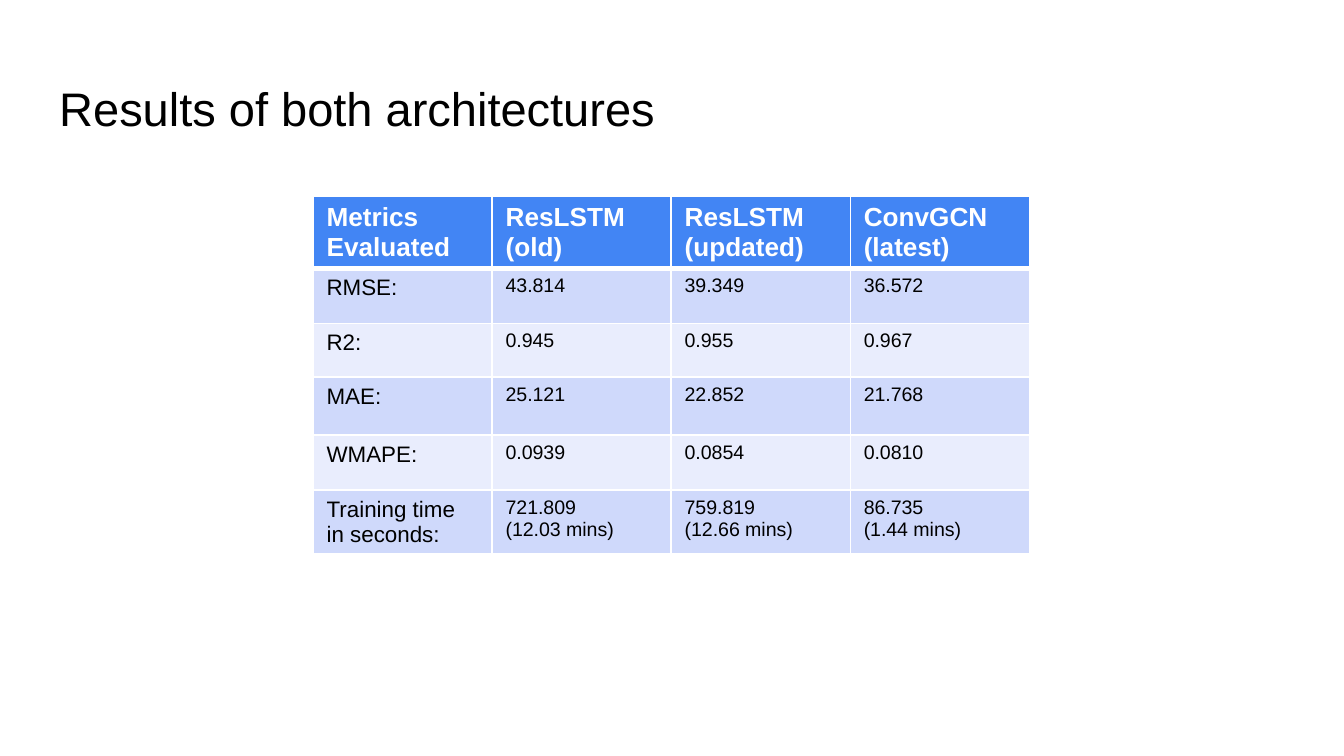
"""Build a slide with a table that compares the results of both architectures."""
import pptx
import pptx.dml.color
import pptx.enum.text
import pptx.oxml
import pptx.oxml.ns
import pptx.util

Inches = pptx.util.Inches
Pt = pptx.util.Pt
RGBColor = pptx.dml.color.RGBColor

WHITE = RGBColor(0xFF, 0xFF, 0xFF)
BLACK = RGBColor(0x00, 0x00, 0x00)
BLUE = RGBColor(0x42, 0x85, 0xF4)
BANDS = [RGBColor(0xCF, 0xD9, 0xFB), RGBColor(0xE9, 0xED, 0xFD)]

TITLE = "Results of both architectures"
ROWS = [
    ["Metrics Evaluated", "ResLSTM (old)", "ResLSTM (updated)", "ConvGCN\n(latest)"],
    ["RMSE:", "43.814", "39.349", "36.572"],
    ["R2:", "0.945", "0.955", "0.967"],
    ["MAE:", "25.121", "22.852", "21.768"],
    ["WMAPE:", "0.0939", "0.0854", "0.0810"],
    ["Training time in seconds:", "721.809\n(12.03 mins)",
     "759.819\n(12.66 mins)", "86.735\n(1.44 mins)"],
]
HEIGHTS = [0.53, 0.41, 0.4, 0.43, 0.41, 0.47]
WIDTH = 5.33


def write(frame, text, size=12, color=BLACK, bold=False):
    frame.text = text
    for para in frame.paragraphs:
        para.alignment = pptx.enum.text.PP_ALIGN.LEFT
        for run in para.runs:
            run.font.name = "Arial"
            run.font.size = Pt(size)
            run.font.bold = bold
            run.font.color.rgb = color


def border(cell, **widths):
    props = cell._tc.get_or_add_tcPr()
    for spot, side in enumerate("LRTB"):
        line = pptx.oxml.parse_xml(
            f'<a:ln{side} {pptx.oxml.ns.nsdecls("a")} w="{Pt(widths.get(side, 1))}">'
            f'<a:solidFill><a:srgbClr val="{WHITE}"/></a:solidFill></a:ln{side}>')
        props.insert(spot, line)


def add_title(slide):
    title = slide.shapes.title
    title.left, title.top = Inches(0.34), Inches(0.49)
    title.width, title.height = Inches(9.32), Inches(0.63)
    frame = title.text_frame
    frame.margin_left = frame.margin_right = Inches(0.1)
    frame.margin_top = frame.margin_bottom = Inches(0.1)
    frame.auto_size = pptx.enum.text.MSO_AUTO_SIZE.NONE
    frame.vertical_anchor = pptx.enum.text.MSO_ANCHOR.TOP
    write(frame, TITLE, size=25.2)


def add_results(slide):
    cols = len(ROWS[0])
    table = slide.shapes.add_table(
        len(ROWS), cols, Inches(2.33), Inches(1.46),
        Inches(WIDTH), Inches(sum(HEIGHTS))).table
    for col in table.columns:
        col.width = Inches(WIDTH / cols)
    for r, (row, height) in enumerate(zip(ROWS, HEIGHTS)):
        table.rows[r].height = Inches(height)
        for c, text in enumerate(row):
            cell = table.cell(r, c)
            cell.fill.solid()
            if r == 0:
                cell.fill.fore_color.rgb = BLUE
                write(cell.text_frame, text, size=14, color=WHITE, bold=True)
                border(cell, B=3)
            else:
                cell.fill.fore_color.rgb = BANDS[(r - 1) % 2]
                write(cell.text_frame, text, size=10.5 if c else 12)
                border(cell)


def main():
    deck = pptx.Presentation()
    deck.slide_width = Inches(10)
    deck.slide_height = deck.slide_width * 9 // 16
    slide = deck.slides.add_slide(deck.slide_layouts[5])
    add_title(slide)
    add_results(slide)
    deck.save("out.pptx")


if __name__ == "__main__":
    main()
